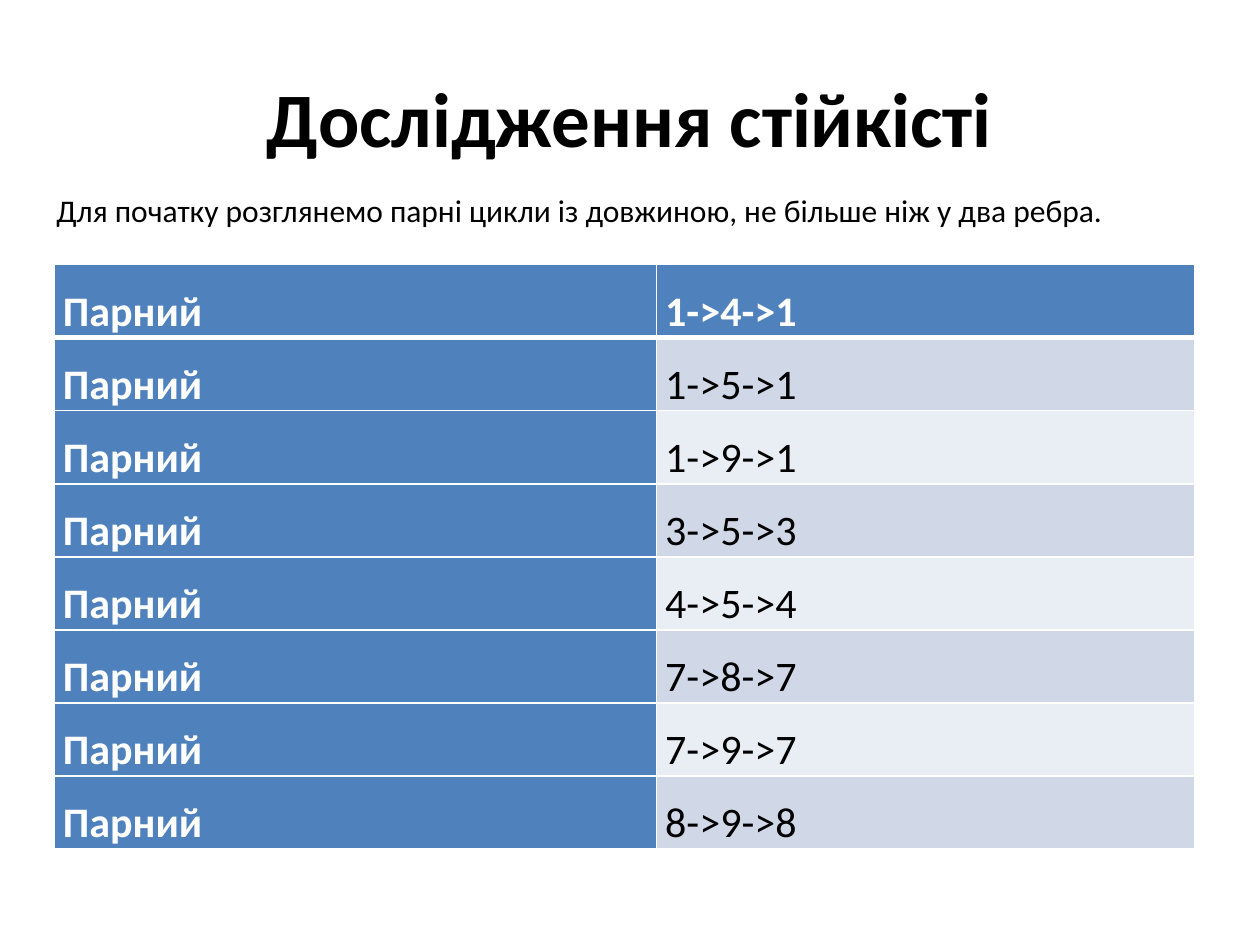
from dataclasses import dataclass

from lxml.etree import SubElement
from pptx import Presentation
from pptx.dml.color import RGBColor
from pptx.enum.text import MSO_ANCHOR, PP_ALIGN
from pptx.oxml.ns import qn
from pptx.util import Inches, Pt

WHITE = RGBColor(0xFF, 0xFF, 0xFF)
BLACK = RGBColor(0x00, 0x00, 0x00)
BLUE = RGBColor(0x4F, 0x81, 0xBD)
BAND_DARK = RGBColor(0xD0, 0xD8, 0xE8)
BAND_LIGHT = RGBColor(0xE9, 0xED, 0xF4)

PAGE_WIDTH, PAGE_HEIGHT = Inches(10), Inches(7.5)
ROW_HEIGHT = Inches(0.58)
COLUMN_WIDTHS = (Inches(4.78), Inches(4.27))
CELL_FORMAT = {
    "margin_left": Inches(0.07),
    "margin_right": Inches(0.07),
    "margin_top": 0,
    "margin_bottom": 0,
    "vertical_anchor": MSO_ANCHOR.BOTTOM,
}


@dataclass(frozen=True)
class Cycle:
    kind: str
    route: str


CYCLES = [
    Cycle("Парний", route)
    for route in ("1->4->1", "1->5->1", "1->9->1", "3->5->3",
                  "4->5->4", "7->8->7", "7->9->7", "8->9->8")
]


def write(frame, text: str, size: int, color: RGBColor, bold: bool = False):
    para = frame.paragraphs[0]
    span = para.add_run()
    span.text = text
    span.font.color.rgb = color
    for name, value in {"name": "Calibri", "size": Pt(size), "bold": bold}.items():
        setattr(span.font, name, value)
    return para


def place(shape, left: float, top: float, width: float, height: float) -> None:
    shape.left, shape.width = int(left * PAGE_WIDTH), int(width * PAGE_WIDTH)
    shape.top, shape.height = int(top * PAGE_HEIGHT), int(height * PAGE_HEIGHT)


def draw_borders(cell, widths: dict[str, int]) -> None:
    properties = cell._tc.get_or_add_tcPr()
    for index, (side, width) in enumerate(widths.items()):
        line = SubElement(properties, qn(f"a:ln{side}"), w=str(Pt(width)))
        fill = SubElement(line, qn("a:solidFill"))
        SubElement(fill, qn("a:srgbClr"), val=str(WHITE))
        properties.insert(index, line)


def fill_cell(cell, text: str, row: int, column: int) -> None:
    heading = row == 0 or column == 0
    for name, value in CELL_FORMAT.items():
        setattr(cell, name, value)
    cell.fill.solid()
    cell.fill.fore_color.rgb = BLUE if heading else BAND_DARK if row % 2 else BAND_LIGHT
    para = write(cell.text_frame, text, 24, WHITE if heading else BLACK, heading)
    para.line_spacing = 1.15
    draw_borders(cell, {"L": 1, "R": 1, "T": 3 if row == 1 else 1, "B": 3 if row == 0 else 1})


def draw_cycles(page, cycles: list[Cycle]) -> None:
    table = page.shapes.add_table(
        len(cycles), len(COLUMN_WIDTHS), Inches(0.43), Inches(2.1),
        sum(COLUMN_WIDTHS), ROW_HEIGHT * len(cycles),
    ).table
    table.first_col = True
    for column, width in zip(table.columns, COLUMN_WIDTHS):
        column.width = width
    for row, cycle in enumerate(cycles):
        table.rows[row].height = ROW_HEIGHT
        for column, text in enumerate((cycle.kind, cycle.route)):
            fill_cell(table.cell(row, column), text, row, column)


def main() -> None:
    deck = Presentation()
    deck.slide_width, deck.slide_height = PAGE_WIDTH, PAGE_HEIGHT
    page = deck.slides.add_slide(deck.slide_layouts[5])

    title = page.shapes.title
    place(title, 0.05, 0.04, 0.9, 1 / 6)
    title.text_frame.vertical_anchor = MSO_ANCHOR.MIDDLE
    write(title.text_frame, "Дослідження стійкісті", 44, BLACK, True).alignment = PP_ALIGN.CENTER

    box = page.shapes.add_textbox(0, 0, 0, 0)
    place(box, 0.035, 0.196, 0.913, 0.054)
    box.text_frame.word_wrap = True
    write(box.text_frame,
          "Для початку розглянемо парні цикли із довжиною, не більше ніж у два ребра.", 18, BLACK)

    draw_cycles(page, CYCLES)
    deck.save("out.pptx")


if __name__ == "__main__":
    main()
